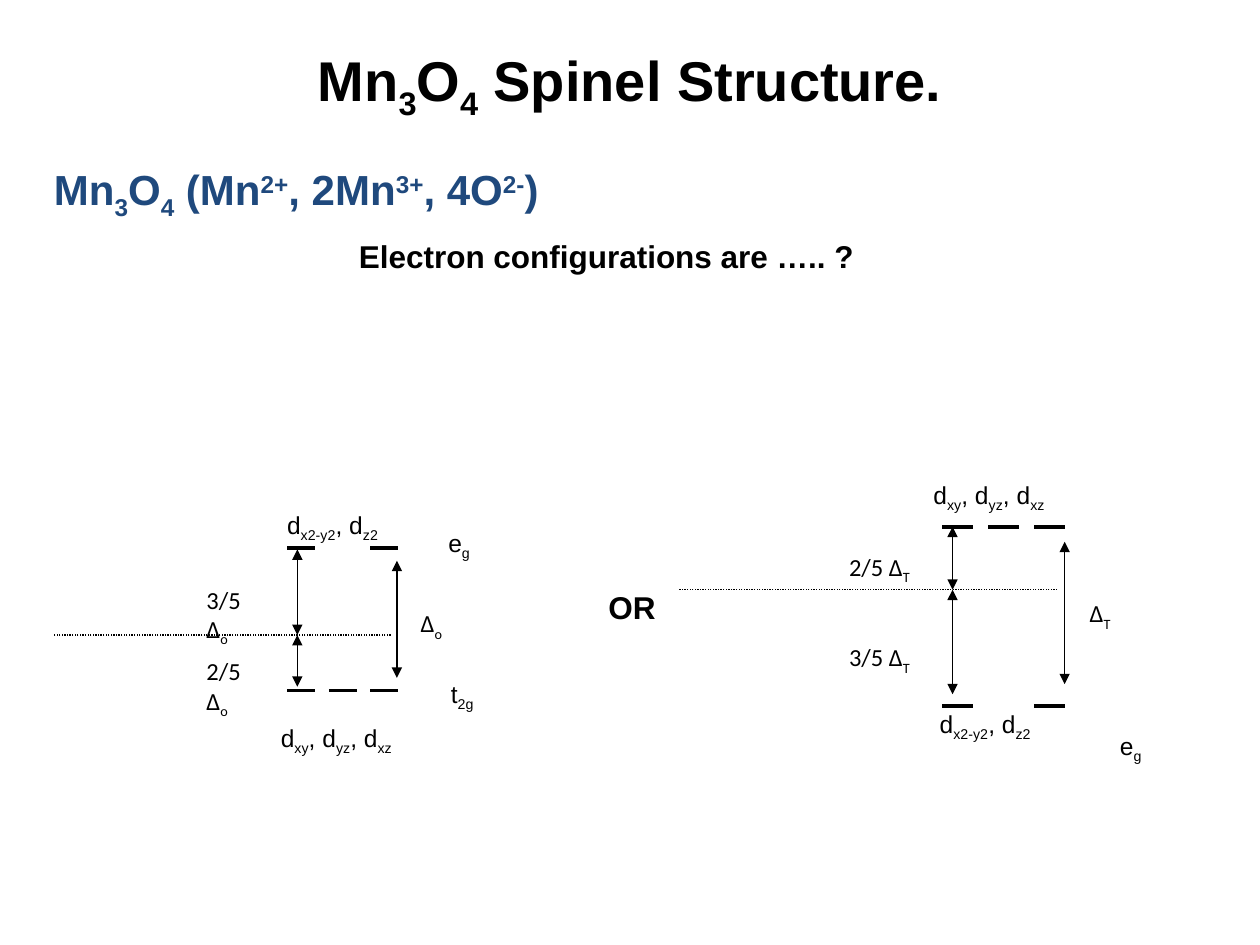
from lxml import etree
from pptx import Presentation
from pptx.dml.color import RGBColor
from pptx.enum import dml, shapes as kinds, text
from pptx.oxml.ns import qn
from pptx.util import Inches, Pt

BASELINES = {"_": "-25000", "^": "30000"}
D_T2G = ["d", "_xy", ", d", "_yz", ", d", "_xz"]
D_EG = ["d", "_x2-y2", ", d", "_z2"]
EG = ["e", "_g"]
BLACK = "000000"


def rgb(value):
    """Turn a hex string into a colour."""
    return RGBColor.from_string(value)


def add_label(shapes, box, pieces, size=14, font="Arial", color=BLACK,
              bold=False, wrap=False):
    """Add text; a piece led by _ is a subscript, one led by ^ a superscript."""
    label = shapes.add_textbox(*map(Inches, box))
    frame = label.text_frame
    frame.word_wrap = wrap
    frame.auto_size = (text.MSO_AUTO_SIZE.NONE if wrap
                       else text.MSO_AUTO_SIZE.SHAPE_TO_FIT_TEXT)
    for piece in pieces:
        run = frame.paragraphs[0].add_run()
        run.text = piece.lstrip("_^")
        run.font.size = Pt(size)
        run.font.name = font
        run.font.bold = bold
        run.font.color.rgb = rgb(color)
        if piece[0] in BASELINES:
            run.font._element.set("baseline", BASELINES[piece[0]])
    return label


def add_line(shapes, start, end, width=0.75, arrows=False, dotted=False):
    """Add a straight black line, optionally dotted or with two arrowheads."""
    line = shapes.add_connector(kinds.MSO_CONNECTOR.STRAIGHT,
                                *map(Inches, (*start, *end)))
    line.line.color.rgb = rgb(BLACK)
    line.line.width = Pt(width)
    if dotted:
        line.line.dash_style = dml.MSO_LINE.ROUND_DOT
    if arrows:
        outline = line.line._get_or_add_ln()
        for tag in ("a:headEnd", "a:tailEnd"):
            etree.SubElement(outline, qn(tag), type="triangle")
    etree.SubElement(line._element.spPr, qn("a:effectLst"))


def add_orbitals(shapes, left, y, pitch, width, slots):
    """Draw one energy level as a row of short bars in the given slots."""
    for slot in slots:
        x = left + slot * pitch
        add_line(shapes, (x, y), (x + width, y), width=2.25)


def add_splitting(shapes, x, top, middle, bottom):
    """Draw the two arrows that meet at the barycentre."""
    add_line(shapes, (x, top), (x, middle), arrows=True)
    add_line(shapes, (x, middle), (x, bottom), arrows=True)


def add_octahedral(slide):
    """Draw the octahedral field diagram."""
    shapes = slide.shapes.add_group_shape().shapes
    add_orbitals(shapes, 2.28, 5.48, 0.33, 0.22, (0, 1, 2))
    add_orbitals(shapes, 2.28, 4.35, 0.33, 0.22, (0, 2))
    add_line(shapes, (3.15, 4.45), (3.15, 5.38), arrows=True)
    add_splitting(shapes, 2.36, 4.36, 5.04, 5.45)
    add_line(shapes, (3.1, 5.04), (0.42, 5.04), dotted=True)
    add_label(shapes, (3.46, 4.14, 0.38, 0.33), EG)
    add_label(shapes, (3.48, 5.34, 0.39, 0.33), ["t", "_2g"])
    add_label(shapes, (3.24, 4.78, 0.38, 0.33), ["Δ", "_o"], font="Calibri")
    for share, y in (("3/5", 4.59), ("2/5", 5.16)):
        add_label(shapes, (1.54, y, 0.66, 0.33), [f"{share} Δ", "_o"],
                  font="Calibri", wrap=True)
    add_label(shapes, (2.13, 5.69, 1.11, 0.33), D_T2G)
    add_label(shapes, (2.18, 4, 0.96, 0.33), D_EG)


def add_tetrahedral(slide):
    """Draw the tetrahedral field diagram."""
    shapes = slide.shapes.add_group_shape().shapes
    add_orbitals(shapes, 7.48, 4.18, 0.365, 0.24, (0, 1, 2))
    add_orbitals(shapes, 7.48, 5.6, 0.365, 0.24, (0, 2))
    add_line(shapes, (8.45, 4.3), (8.45, 5.43), arrows=True)
    add_splitting(shapes, 7.56, 4.18, 4.68, 5.51)
    add_line(shapes, (8.39, 4.68), (5.39, 4.68), dotted=True)
    add_label(shapes, (8.79, 5.75, 0.38, 0.33), EG)
    add_label(shapes, (8.55, 4.7, 0.4, 0.33), ["Δ", "_T"], font="Calibri")
    for share, y in (("3/5", 5.05), ("2/5", 4.33)):
        add_label(shapes, (6.64, y, 0.69, 0.33), [f"{share} Δ", "_T"],
                  font="Calibri")
    add_label(shapes, (7.31, 3.76, 1.11, 0.33), D_T2G)
    add_label(shapes, (7.36, 5.58, 0.96, 0.33), D_EG)


def main():
    """Build the spinel slide and save it."""
    deck = Presentation()
    deck.slide_width, deck.slide_height = Inches(10), Inches(7.5)
    slide = deck.slides.add_slide(deck.slide_layouts[6])

    title = add_label(slide.shapes, (0.75, 0.25, 8.5, 0.83),
                      ["Mn", "_3", "O", "_4", " Spinel Structure."],
                      size=32, bold=True, wrap=True)
    title.text_frame.vertical_anchor = text.MSO_ANCHOR.MIDDLE
    title.text_frame.paragraphs[0].alignment = text.PP_ALIGN.CENTER

    add_label(slide.shapes, (0.33, 1.25, 4.2, 0.5),
              ["Mn", "_3", "O", "_4", " (Mn", "^2+", ", 2Mn", "^3+",
               ", 4O", "^2-", ")"], size=24, color="1F497D", bold=True)
    add_label(slide.shapes, (2.75, 1.83, 4.13, 0.4),
              ["Electron configurations are ….. ?"], size=18, bold=True)
    add_octahedral(slide)
    add_label(slide.shapes, (4.73, 4.62, 0.58, 0.4), ["OR"], size=18, bold=True)
    add_tetrahedral(slide)
    deck.save("out.pptx")


if __name__ == "__main__":
    main()
